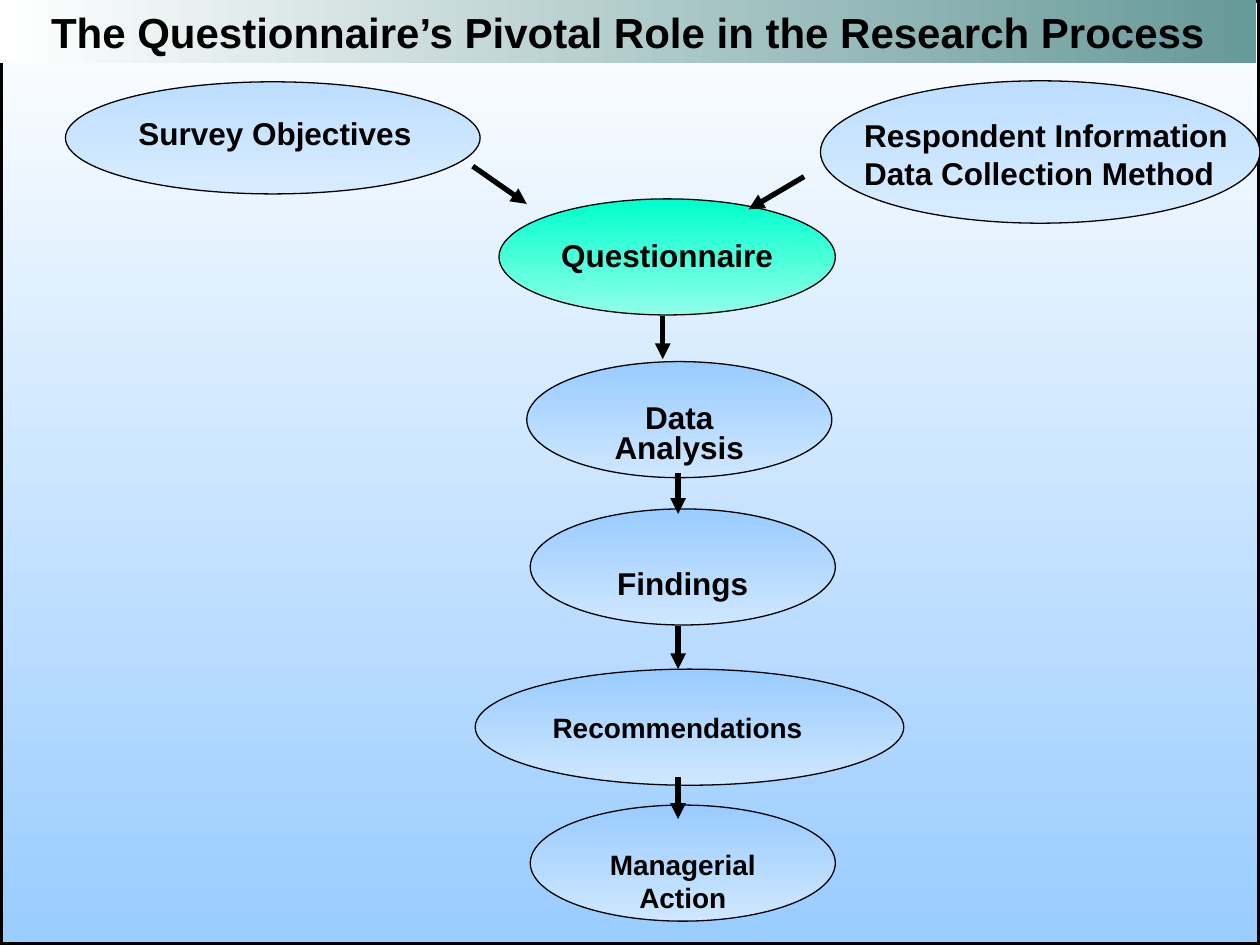
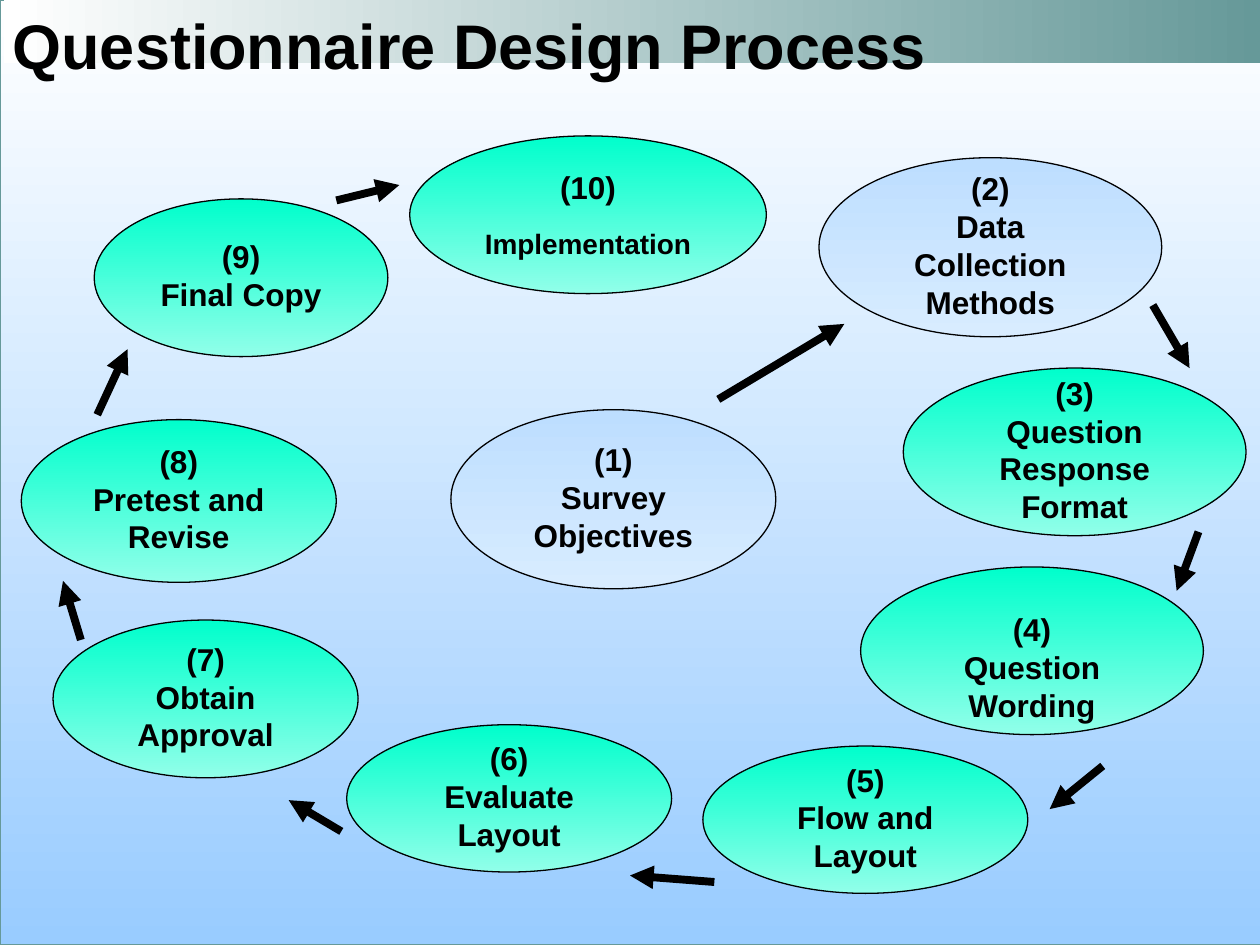
from lxml import etree
from pptx import Presentation
from pptx.dml.color import RGBColor
from pptx.enum.shapes import MSO_CONNECTOR as CONN, MSO_SHAPE as SHAPE
from pptx.enum.text import MSO_ANCHOR as ANCHOR, MSO_AUTO_SIZE as AUTO, PP_ALIGN as ALIGN
from pptx.oxml.ns import qn
from pptx.util import Cm, Pt

FONT = "Arial"
COLORS = {
    "black": "000000", "white": "FFFFFF", "teal": "669999", "sky": "99CCFF",
    "mint": "00FFCC", "mint_light": "91FFE9",
    "blue": "99CCFF", "blue_light": "CFE7FF",
    "pale": "BDDEFF", "pale_light": "D8ECFF",
}
DOWN, ACROSS = 270, 0

# Ovals: lines, (left, top, width, height) in cm, fill, text drop below centre in cm
# and any special text settings
ROLE = {
    "title": "The Questionnaire’s Pivotal Role in the Research Process",
    "title_box": (0, 0, 25.32, 1.27), "title_size": 24,
    "title_align": ALIGN.CENTER, "title_anchor": ANCHOR.MIDDLE,
    "backdrop_width": 25.4, "border": ("black", 3), "band_left": 0,
    "ovals": [
        (["Questionnaire"], (10.06, 4.01, 6.78, 2.34), "mint", -0.05, {}),
        (["Data", "Analysis"], (10.62, 7.29, 6.15, 2.34), "blue", 0.32, {"spacing": 0.8}),
        (["Findings"], (10.69, 10.26, 6.15, 2.34), "blue", 0.32, {}),
        (["Recommendations"], (9.58, 13.49, 8.64, 2.34), "blue", 0,
         {"sizes": [16], "shift": 0.24}),
        (["Managerial", "Action"], (10.69, 16.23, 6.15, 2.34), "blue", 0.36,
         {"sizes": [16, 16]}),
        ([], (16.54, 1.63, 8.86, 2.87), "pale", 0, {}),
        ([], (1.32, 1.65, 8.36, 2.26), "pale", 0, {}),
    ],
    "labels": [
        (["Respondent Information", "Data Collection Method"], (17.17, 2.21, 8.23, 1.78)),
        (["Survey Objectives"], (2.54, 2.18, 6.3, 1.02)),
    ],
    "arrow_width": 3,
    "arrows": [
        (13.36, 6.38, 13.36, 7.24), (13.67, 9.53, 13.67, 10.36),
        (13.67, 12.62, 13.67, 13.49), (13.67, 15.67, 13.67, 16.51),
        (9.53, 3.35, 10.62, 4.11), (16.21, 3.56, 15.09, 4.22),
    ],
}

# Steps of the design process, numbered in order
STEPS = [
    ("Survey Objectives", (9.09, 8.26, 6.55, 3.61), "pale", -0.05, {}),
    ("Data Collection Methods", (16.51, 3.18, 6.91, 3.61), "pale", -0.05, {}),
    ("Question Response Format", (18.21, 7.42, 6.91, 3.38), "mint", -0.05, {}),
    ("Question Wording", (17.35, 11.43, 6.91, 3.38), "mint", 0.32, {}),
    ("Flow and Layout", (14.17, 15.04, 6.55, 2.97), "mint", -0.05, {}),
    ("Evaluate Layout", (6.99, 14.61, 6.55, 2.97), "mint", -0.05, {}),
    ("Obtain Approval", (1.07, 12.5, 6.15, 3.18), "mint", -0.05, {}),
    ("Pretest and Revise", (0.43, 8.46, 6.35, 3.28), "mint", -0.05, {}),
    ("Final Copy", (1.9, 4.01, 5.92, 3.18), "mint", -0.05, {}),
    ("Implementation", (8.26, 2.74, 7.19, 3.18), "mint", -0.02,
     {"sizes": [18, 16], "gap": 12}),
]
PROCESS = {
    "title": "Questionnaire Design Process",
    "title_box": (0, 0, 25.4, 1.78), "title_size": 36,
    "title_align": ALIGN.LEFT, "title_anchor": ANCHOR.BOTTOM,
    "backdrop_width": 25.48, "border": ("teal", 0.75), "band_left": 0.08,
    "ovals": [([f"({n})", name], *rest) for n, (name, *rest) in enumerate(STEPS, 1)],
    "labels": [],
    "arrow_width": 4.5,
    "arrows": [
        (14.48, 8.05, 17.02, 6.53), (23.24, 6.15, 23.98, 7.42),
        (24.16, 10.72, 23.72, 11.91), (22.23, 15.44, 21.16, 16.31),
        (14.4, 17.78, 12.7, 17.65), (6.88, 16.76, 5.82, 16.13),
        (1.63, 12.9, 1.27, 11.71), (1.96, 8.36, 2.57, 7.04),
        (6.78, 4.04, 8.05, 3.73),
    ],
}


def rgb(name):
    return RGBColor.from_string(COLORS[name])


def cms(values):
    return [Cm(v) for v in values]


def add_gradient_shape(slide, kind, box, start, end, angle, border=None):
    sp = slide.shapes.add_shape(kind, *cms(box))
    sp.shadow.inherit = False
    sp.fill.gradient()
    sp.fill.gradient_angle = angle
    for stop, name in zip(sp.fill.gradient_stops, (start, end)):
        stop.color.rgb = rgb(name)
    if border:
        sp.line.color.rgb = rgb(border[0])
        sp.line.width = Pt(border[1])
    else:
        sp.line.fill.background()
    return sp


def write(tf, lines, align, sizes=None, spacing=None, gap=0):
    tf.word_wrap = True
    tf.text = "\n".join(lines)
    for i, p in enumerate(tf.paragraphs):
        p.alignment = align
        if spacing:
            p.line_spacing = spacing
        if i and gap:
            p.space_before = Pt(gap)
        for r in p.runs:
            r.font.name = FONT
            r.font.size = Pt(sizes[i] if sizes else 18)
            r.font.bold = True
            r.font.color.rgb = rgb("black")


def add_oval(slide, lines, box, fill, drop, style):
    sp = add_gradient_shape(slide, SHAPE.OVAL, box, fill, fill + "_light", DOWN,
                            ("black", 0.75))
    if not lines:
        return
    style = dict(style)
    tf = sp.text_frame
    tf.vertical_anchor = ANCHOR.MIDDLE
    # Twice the offset on one side moves centred text by the offset
    tf.margin_top, tf.margin_bottom = Cm(max(2 * drop, 0)), Cm(max(-2 * drop, 0))
    tf.margin_left = Cm(0.25)
    tf.margin_right = Cm(0.25 + 2 * style.pop("shift", 0))
    write(tf, lines, ALIGN.CENTER, **style)


def add_arrow(slide, ends, width):
    line = slide.shapes.add_connector(CONN.STRAIGHT, *cms(ends))
    line.line.color.rgb = rgb("black")
    line.line.width = Pt(width)
    etree.SubElement(line.line._get_or_add_ln(), qn("a:tailEnd"), type="triangle")
    etree.SubElement(line._element.spPr, qn("a:effectLst"))


def add_title(slide, page):
    title = slide.shapes.title
    title.left, title.top, title.width, title.height = cms(page["title_box"])
    tf = title.text_frame
    write(tf, [page["title"]], page["title_align"], [page["title_size"]])
    tf.auto_size = AUTO.NONE
    tf.vertical_anchor = page["title_anchor"]
    # Bring the title in front of the band
    slide.shapes._spTree.append(title._element)


def build_slide(prs, page):
    slide = prs.slides.add_slide(prs.slide_layouts[5])
    # Backdrop and title band
    add_gradient_shape(slide, SHAPE.RECTANGLE, (0, 0, page["backdrop_width"], 19.05),
                       "white", "sky", DOWN, page["border"])
    add_gradient_shape(slide, SHAPE.RECTANGLE, (page["band_left"], 0, 25.32, 1.27),
                       "white", "teal", ACROSS)
    # Diagram
    for oval in page["ovals"]:
        add_oval(slide, *oval)
    for lines, box in page["labels"]:
        write(slide.shapes.add_textbox(*cms(box)).text_frame, lines, ALIGN.LEFT)
    for ends in page["arrows"]:
        add_arrow(slide, ends, page["arrow_width"])
    add_title(slide, page)


def main():
    prs = Presentation()
    prs.slide_width, prs.slide_height = Cm(25.4), Cm(19.05)
    for page in (ROLE, PROCESS):
        build_slide(prs, page)
    prs.save("out.pptx")


if __name__ == "__main__":
    main()
